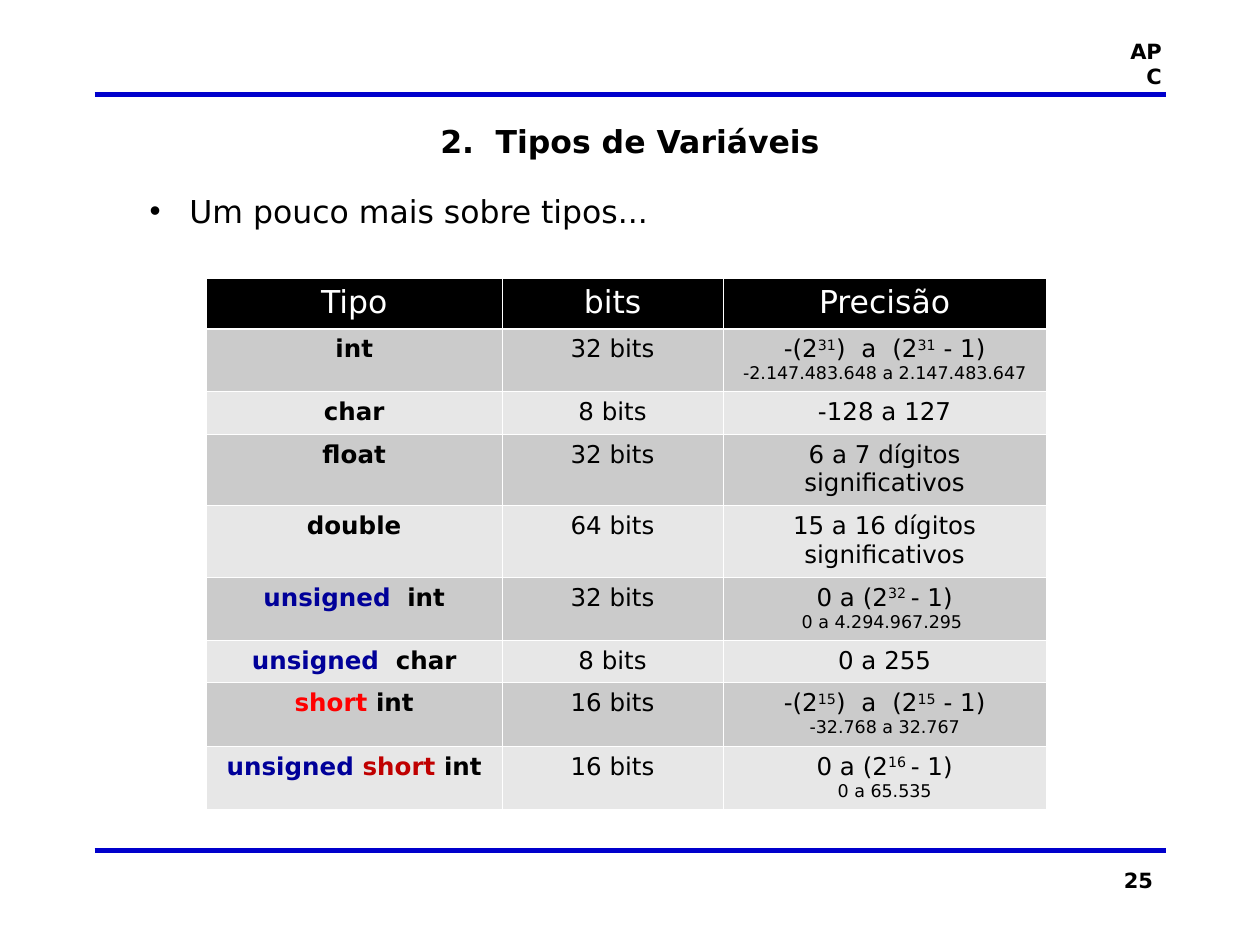
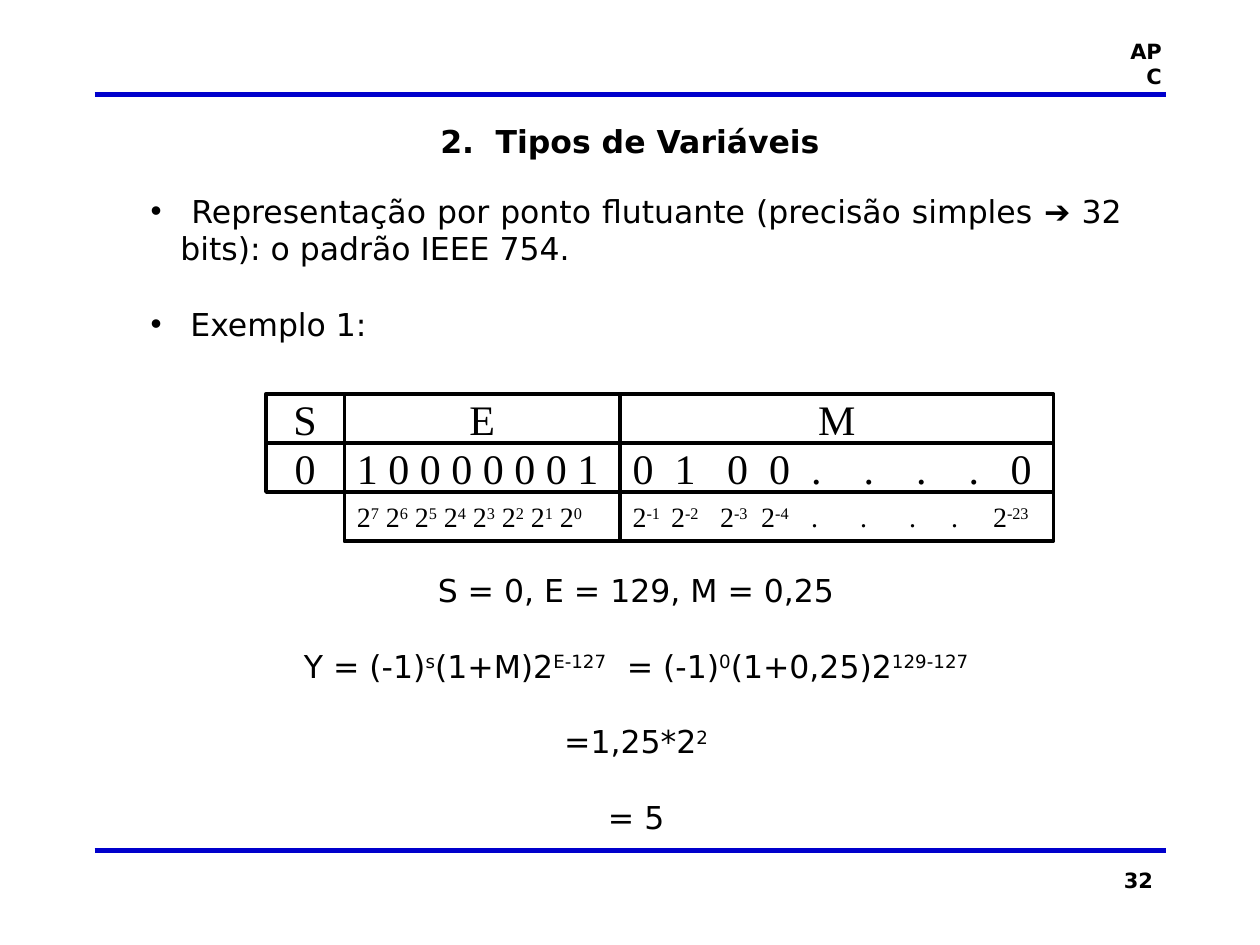
import pptx
import pptx.util
import pptx.dml.color
import pptx.enum.shapes
import pptx.enum.text
import pptx.oxml.ns
from lxml import etree

Pt = pptx.util.Pt
ALIGN = pptx.enum.text.PP_ALIGN
qn = pptx.oxml.ns.qn

SANS, SERIF = "DejaVu Sans", "Times New Roman"
BLACK, WHITE, BLUE = "000000", "FFFFFF", "0000CC"
NAVY, RED, WINE = "000099", "FF0000", "C00000"
BANDS = "CBCBCB", "E7E7E7"
LINE = 21.6  # height of one line of body text

# Type name as (word, colour) pairs, size, range, and exact limits if any
TYPES = [
    ([("int", BLACK)], 32, ["-(2^31^)~a~(2^31^ - 1)", "-2.147.483.648 a 2.147.483.647"]),
    ([("char", BLACK)], 8, ["-128 a 127"]),
    ([("float", BLACK)], 32, ["6 a 7 dígitos significativos"]),
    ([("double", BLACK)], 64, ["15 a 16 dígitos significativos"]),
    ([("unsigned", NAVY), ("~int", BLACK)], 32, ["0 a (2^32 ^- 1)", "0 a 4.294.967.295 "]),
    ([("unsigned", NAVY), ("~char", BLACK)], 8, ["0 a 255"]),
    ([("short", RED), (" int", BLACK)], 16, ["-(2^15^)~a~(2^15^ - 1)", "-32.768 a 32.767"]),
    ([("unsigned ", NAVY), ("short", WINE), (" int", BLACK)], 16,
     ["0 a (2^16 ^- 1)", "0 a 65.535"]),
]


def rgb(code):
    return pptx.dml.color.RGBColor.from_string(code)


# Text
def write(par, text, size=18, color=BLACK, bold=False, face=SANS):
    """Add runs to a paragraph; ^ marks raise a part, ~ is a wide space."""
    for i, part in enumerate(text.split("^")):
        for piece in part.replace("~", "|~|").split("|"):
            if not piece:
                continue
            run = par.add_run()
            run.text = piece.replace("~", " ")
            font = run.font
            font.size, font.bold, font.name = Pt(size), bold, face
            font.color.rgb = rgb(color)
            if i % 2:
                font._element.set("baseline", "30000")
            if piece == "~":
                font._element.set("spc", str(round(size * 33)))


def bullet(par):
    props = par._p.get_or_add_pPr()
    props.set("marL", str(Pt(17)))
    props.set("indent", str(-Pt(17)))
    tint = etree.SubElement(props, qn("a:buClr"))
    etree.SubElement(tint, qn("a:srgbClr"), val=BLACK)
    etree.SubElement(props, qn("a:buFont"), typeface="Arial")
    etree.SubElement(props, qn("a:buChar"), char="•")
    par.alignment = ALIGN.JUSTIFY


def set_tabs(par, stops):
    tabs = etree.SubElement(par._p.get_or_add_pPr(), qn("a:tabLst"))
    for stop in stops:
        etree.SubElement(tabs, qn("a:tab"), pos=str(Pt(stop)), algn="l")


def add_text(slide, left, top, width, height):
    frame = slide.shapes.add_textbox(Pt(left), Pt(top), Pt(width), Pt(height)).text_frame
    frame.word_wrap = True
    return frame


def label(slide, text, spot, align, size):
    par = add_text(slide, *spot).paragraphs[0]
    par.alignment = align
    write(par, text, size, bold=True)


# Parts shared by the slides
def rule(slide, y):
    line = slide.shapes.add_connector(
        pptx.enum.shapes.MSO_CONNECTOR.STRAIGHT, Pt(54), Pt(y), Pt(666), Pt(y))
    line.line.color.rgb = rgb(BLUE)
    line.line.width = Pt(3)
    etree.SubElement(line._element.spPr, qn("a:effectLst"))


def new_slide(deck, page):
    slide = deck.slides.add_slide(deck.slide_layouts[6])
    rule(slide, 54)
    rule(slide, 486)
    label(slide, "APC", (633.6, 18.3, 37.4, 36), ALIGN.RIGHT, 12)
    label(slide, page, (516, 492, 150, 36), ALIGN.RIGHT, 12)
    label(slide, "2.~Tipos de Variáveis", (54, 66.4, 612, 29), ALIGN.CENTER, 18)
    return slide


# Table of types
def paint(cell, fill, top, base):
    props = cell._tc.get_or_add_tcPr()
    for side, width in (("L", 0.45), ("R", 0.45), ("T", top), ("B", base)):
        edge = etree.SubElement(props, qn("a:ln" + side), w=str(Pt(width)))
        solid = etree.SubElement(edge, qn("a:solidFill"))
        etree.SubElement(solid, qn("a:srgbClr"), val=WHITE)
    cell.fill.solid()
    cell.fill.fore_color.rgb = rgb(fill)


def type_table(slide):
    widths = 168.8, 126.5, 184.5
    heights = 28, 36, 23.8, 41, 40.8, 36, 24, 36.4, 36
    table = slide.shapes.add_table(
        len(heights), len(widths), Pt(118), Pt(159), Pt(sum(widths)), Pt(sum(heights))).table
    table.horz_banding = False
    for col, width in zip(table.columns, widths):
        col.width = Pt(width)
    for row, height in zip(table.rows, heights):
        row.height = Pt(height)

    for cell, head in zip(table.rows[0].cells, ("Tipo", "bits", "Precisão")):
        paint(cell, BLACK, 0.45, 1.47)
        write(cell.text_frame.paragraphs[0], head, color=WHITE)

    for i, (words, bits, spans) in enumerate(TYPES):
        cells = list(table.rows[i + 1].cells)
        for cell in cells:
            paint(cell, BANDS[i % 2], 0.45 if i else 1.47, 0.45)
        name, count, span = (cell.text_frame for cell in cells)
        for word, color in words:
            write(name.paragraphs[0], word, 14, color, bold=True)
        write(count.paragraphs[0], f"{bits} bits", 14)
        write(span.paragraphs[0], spans[0], 14)
        for limits in spans[1:]:
            write(span.add_paragraph(), limits, 10)

    for cell in table.iter_cells():
        for par in cell.text_frame.paragraphs:
            par.alignment = ALIGN.CENTER


# Grid of bits
def bit_box(slide, col, row, text, size=24, align=ALIGN.CENTER, stops=()):
    edges = 152, 196.8, 354.4, 602
    shape = slide.shapes.add_shape(
        pptx.enum.shapes.MSO_SHAPE.RECTANGLE, Pt(edges[col]), Pt(225 + 28.1 * row),
        Pt(edges[col + 1] - edges[col]), Pt(28.1))
    shape.shadow.inherit = False
    shape.fill.solid()
    shape.fill.fore_color.rgb = rgb(WHITE)
    shape.line.color.rgb = rgb(BLACK)
    shape.line.width = Pt(2)
    frame = shape.text_frame
    frame.word_wrap = True
    frame.vertical_anchor = pptx.enum.text.MSO_ANCHOR.MIDDLE
    # The large digits fill the whole height of a box
    frame.margin_top = frame.margin_bottom = 0
    par = frame.paragraphs[0]
    if stops:
        set_tabs(par, stops)
    par.alignment = align
    write(par, text, size, face=SERIF)


def bit_grid(slide):
    left = ALIGN.LEFT
    powers = " ".join(f"2^{n}^" for n in range(7, -1, -1))
    parts = [f"2^-{n}^" for n in range(1, 5)] + ["."] * 4 + ["2^-23^"]
    bit_box(slide, 0, 1, "0")
    bit_box(slide, 1, 1, "1 0 0 0 0 0 0 1", align=left)
    bit_box(slide, 2, 1, "\t".join("0100....0"), align=left,
            stops=(24, 54, 78, 102, 132, 162, 192, 216))
    bit_box(slide, 1, 2, powers, 16, left)
    bit_box(slide, 2, 2, "\t".join(parts), 16, left,
            (22, 50, 73.5, 102, 130, 158, 182, 206))
    for col, head in enumerate("SEM"):
        bit_box(slide, col, 0, head)


# Slides
def types_slide(deck):
    slide = new_slide(deck, "25")
    par = add_text(slide, 78.5, 106.2, 546, 29).paragraphs[0]
    bullet(par)
    write(par, " Um pouco mais sobre tipos...")
    type_table(slide)


def float_slide(deck):
    slide = new_slide(deck, "32")
    frame = add_text(slide, 79, 106, 569, 96)
    par = frame.paragraphs[0]
    bullet(par)
    write(par, " Representação por ponto flutuante (precisão simples ")
    write(par, "➔", face="Arial")
    write(par, " 32 bits): o padrão IEEE 754.")

    par = frame.add_paragraph()
    bullet(par)
    par.space_before = Pt(LINE)
    write(par, " Exemplo 1:")

    bit_grid(slide)

    steps = ("S = 0, E = 129, M = 0,25",
             "Y = (-1)^s^(1+M)2^E-127^~= (-1)^0^(1+0,25)2^129-127^",
             "=1,25*2^2^", "= 5")
    frame = add_text(slide, 79, 322.8, 569, 160)
    for i, step in enumerate(steps):
        par = frame.add_paragraph() if i else frame.paragraphs[0]
        par.alignment = ALIGN.CENTER
        if i:
            par.space_before = Pt(LINE)
        write(par, step)


def main():
    deck = pptx.Presentation()
    deck.slide_width, deck.slide_height = Pt(720), Pt(540)
    types_slide(deck)
    float_slide(deck)
    deck.save("out.pptx")


if __name__ == "__main__":
    main()
